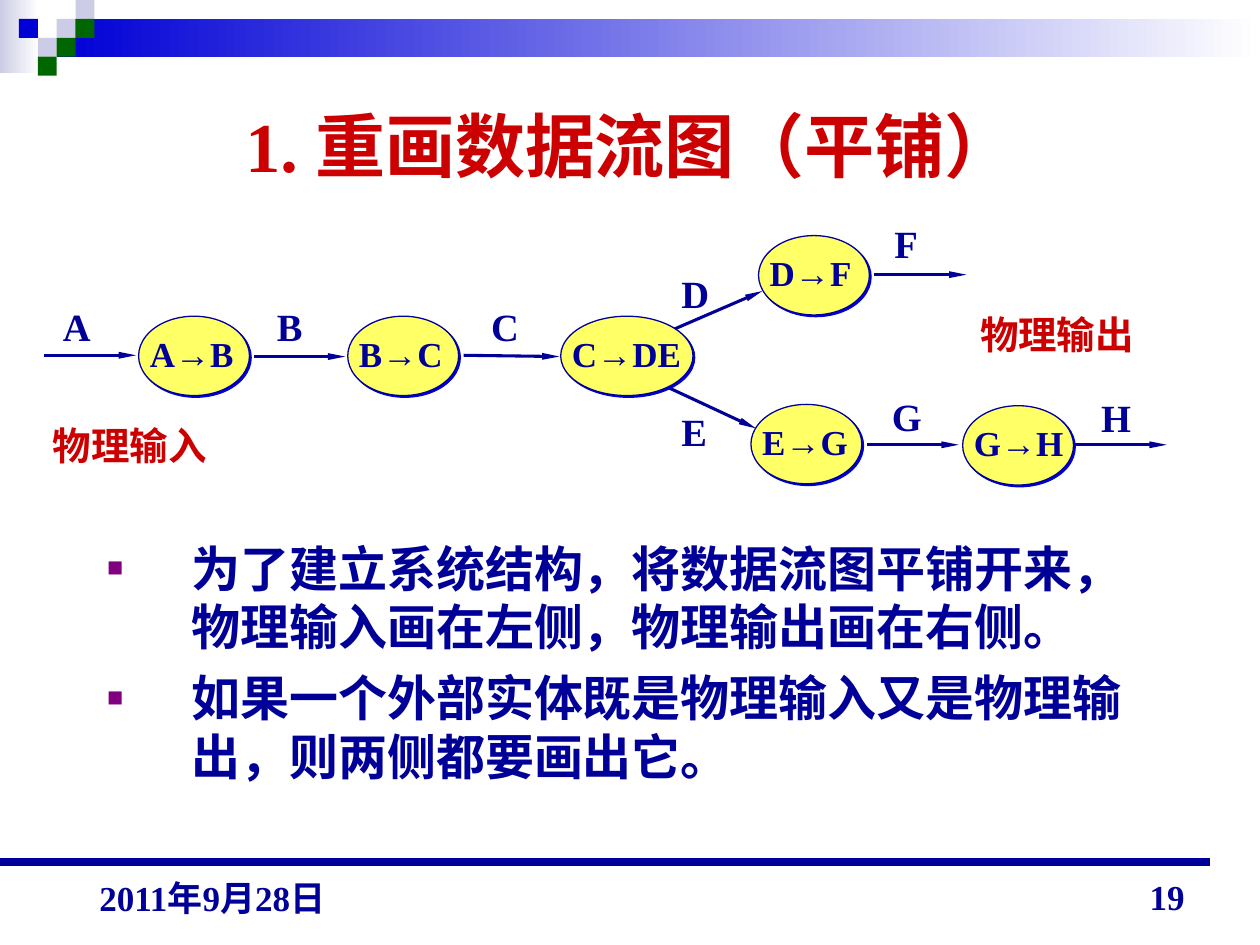
from dataclasses import dataclass

from lxml import etree
from pptx import Presentation
from pptx.dml.color import RGBColor
from pptx.enum.shapes import MSO_CONNECTOR, MSO_SHAPE
from pptx.enum.text import MSO_ANCHOR, MSO_AUTO_SIZE, PP_ALIGN
from pptx.oxml.ns import qn
from pptx.util import Inches, Pt

STRAIGHT = MSO_CONNECTOR.STRAIGHT
RECTANGLE = MSO_SHAPE.RECTANGLE
OVAL = MSO_SHAPE.OVAL
TOP, MIDDLE, BOTTOM = MSO_ANCHOR.TOP, MSO_ANCHOR.MIDDLE, MSO_ANCHOR.BOTTOM
LEFT, CENTER, RIGHT = PP_ALIGN.LEFT, PP_ALIGN.CENTER, PP_ALIGN.RIGHT
NO_AUTOFIT = MSO_AUTO_SIZE.NONE


@dataclass(frozen=True)
class Theme:
    font: str = "Times New Roman"
    symbol_font: str = "Arial"
    navy: str = "000099"
    red: str = "CC0000"
    blue: str = "0000D6"
    lavender: str = "CCCCE6"
    green: str = "006600"
    yellow: str = "FFFF66"
    purple: str = "800080"
    white: str = "FFFFFF"
    title_size: int = 40
    body_size: int = 28
    label_size: int = 22
    small_size: int = 20


THEME = Theme()
SQUARE = 0.15
SQUARES = [
    (3, 1, THEME.lavender), (4, 0, THEME.lavender), (4, 1, THEME.green),
    (2, 2, THEME.lavender), (1, 1, THEME.blue), (3, 2, THEME.green),
    (2, 3, THEME.green),
]
PROCESSES = [
    ("A", "B", 1.1, 2.51, 0.88), ("B", "C", 2.76, 2.51, 0.88),
    ("C", "DE", 4.45, 2.51, 1.05), ("D", "F", 6.02, 1.87, 0.88),
    ("E", "G", 5.96, 3.21, 0.88), ("G", "H", 7.64, 3.22, 0.88),
]
FLOWS = [
    (0.35, 2.82, 1.08, 2.82), (2.02, 2.83, 2.74, 2.83),
    (3.68, 2.82, 4.44, 2.83), (5.31, 2.63, 6.05, 2.31),
    (5.27, 3.06, 6, 3.4), (6.94, 2.18, 7.67, 2.18),
    (6.88, 3.53, 7.61, 3.53), (8.53, 3.53, 9.26, 3.53),
]
FLOW_LABELS = [
    ("A", 0.4, 2.36), ("B", 2.1, 2.36), ("C", 3.8, 2.36), ("D", 5.31, 2.09),
    ("E", 5.31, 3.19), ("F", 7, 1.7), ("G", 6.98, 3.07), ("H", 8.64, 3.08),
]
SIDE_LABELS = [("物理输入", 0.32, 3.3), ("物理输出", 7.68, 2.42)]
BODY = [
    "为了建立系统结构，将数据流图平铺开来，物理输入画在左侧，物理输出画在右侧。",
    "如果一个外部实体既是物理输入又是物理输出，则两侧都要画出它。",
]


def rgb(color):
    return RGBColor.from_string(color)


def place(shape, left, top, width, height):
    shape.left, shape.top = Inches(left), Inches(top)
    shape.width, shape.height = Inches(width), Inches(height)


def format_font(font, size, color, name=THEME.font):
    font.name = name
    font.size = Pt(size)
    font.bold = True
    font.color.rgb = rgb(color)


def add_shape(slide, kind, left, top, width, height):
    shape = slide.shapes.add_shape(
        kind, Inches(left), Inches(top), Inches(width), Inches(height))
    shape.shadow.inherit = False
    shape.line.fill.background()
    return shape


def add_fade(slide, left, top, width, height, color):
    shape = add_shape(slide, RECTANGLE, left, top, width, height)
    shape.fill.gradient()
    shape.fill.gradient_angle = 0
    for stop, stop_color in zip(shape.fill.gradient_stops, (color, THEME.white)):
        stop.color.rgb = rgb(stop_color)


def add_square(slide, column, row, color):
    shape = add_shape(slide, RECTANGLE, column * SQUARE, row * SQUARE, SQUARE, SQUARE)
    shape.fill.solid()
    shape.fill.fore_color.rgb = rgb(color)


def add_line(slide, start_x, start_y, end_x, end_y, width, arrow=False):
    line = slide.shapes.add_connector(
        STRAIGHT, Inches(start_x), Inches(start_y), Inches(end_x), Inches(end_y))
    line.line.color.rgb = rgb(THEME.navy)
    line.line.width = Pt(width)
    if arrow:
        etree.SubElement(line.line._get_or_add_ln(), qn("a:tailEnd"),
                         type="triangle", w="sm", len="lg")
    etree.SubElement(line._element.spPr, qn("a:effectLst"))


def add_text(slide, parts, left, top, width, height, size, color=THEME.navy,
             anchor=TOP, align=LEFT, wrap=False):
    box = slide.shapes.add_textbox(
        Inches(left), Inches(top), Inches(width), Inches(height))
    frame = box.text_frame
    frame.word_wrap = wrap
    frame.vertical_anchor = anchor
    paragraph = frame.paragraphs[0]
    paragraph.alignment = align
    for text in parts:
        run = paragraph.add_run()
        run.text = text
        name = THEME.symbol_font if text == "→" else THEME.font
        format_font(run.font, size, color, name)


def add_process(slide, source, target, left, top, width):
    oval = add_shape(slide, OVAL, left, top, width, 0.63)
    oval.fill.solid()
    oval.fill.fore_color.rgb = rgb(THEME.yellow)
    oval.line.color.rgb = rgb(THEME.navy)
    oval.line.width = Pt(0.75)
    effects = oval._element.spPr.find(qn("a:effectLst"))
    shadow = etree.SubElement(effects, qn("a:outerShdw"), blurRad="0",
                              dist=str(Pt(1.4)), dir=str(45 * 60000))
    etree.SubElement(shadow, qn("a:srgbClr"), val=THEME.blue)
    add_text(slide, (source, "→", target), left - 0.01, top + 0.08, width + 0.04,
             0.44, THEME.small_size)


def add_bullet(paragraph):
    properties = paragraph._p.get_or_add_pPr()
    properties.set("marL", str(Inches(0.67)))
    properties.set("indent", str(Inches(-0.67)))
    bullet_color = etree.SubElement(properties, qn("a:buClr"))
    etree.SubElement(bullet_color, qn("a:srgbClr"), val=THEME.purple)
    etree.SubElement(properties, qn("a:buSzPct"), val="55000")
    etree.SubElement(properties, qn("a:buChar"), char="■")


def fill_title(slide):
    title = slide.shapes.title
    place(title, 0.5, 0.5, 9, 1.3)
    frame = title.text_frame
    frame.text = "1. 重画数据流图（平铺）"
    frame.auto_size = NO_AUTOFIT
    frame.vertical_anchor = MIDDLE
    paragraph = frame.paragraphs[0]
    paragraph.alignment = CENTER
    format_font(paragraph.runs[0].font, THEME.title_size, THEME.red)


def fill_body(slide):
    body = slide.placeholders[1]
    place(body, 0.75, 4.22, 8.5, 2.5)
    frame = body.text_frame
    frame.text = "\n".join(BODY)
    frame.auto_size = NO_AUTOFIT
    for index, paragraph in enumerate(frame.paragraphs):
        add_bullet(paragraph)
        paragraph.space_before = Pt(7 if index else 0)
        format_font(paragraph.runs[0].font, THEME.body_size, THEME.navy)


def add_decoration(slide):
    add_fade(slide, 0, 0, 0.31, 0.58, THEME.lavender)
    add_fade(slide, 0.45, 0.15, 9.55, 0.3, THEME.blue)
    for square in SQUARES:
        add_square(slide, *square)
    add_line(slide, 0, 6.84, 9.6, 6.84, 4.5)


def add_diagram(slide):
    for flow in FLOWS:
        add_line(slide, *flow, 1.75, arrow=True)
    for process in PROCESSES:
        add_process(slide, *process)
    for text, left, top in FLOW_LABELS:
        add_text(slide, [text], left, top, 0.44, 0.47, THEME.label_size)
    for text, left, top in SIDE_LABELS:
        add_text(slide, [text], left, top, 1.42, 0.47, THEME.label_size, THEME.red)


def main():
    presentation = Presentation()
    presentation.slide_width, presentation.slide_height = Inches(10), Inches(7.5)
    slide = presentation.slides.add_slide(presentation.slide_layouts[1])
    add_decoration(slide)
    fill_title(slide)
    fill_body(slide)
    add_diagram(slide)
    add_text(slide, ["19"], 7.17, 6.83, 2.33, 0.5, THEME.small_size,
             anchor=BOTTOM, align=RIGHT, wrap=True)
    add_text(slide, ["2011年9月28日"], 0.69, 6.82, 2.33, 0.52, THEME.small_size,
             anchor=BOTTOM, wrap=True)
    presentation.save("out.pptx")


if __name__ == "__main__":
    main()
